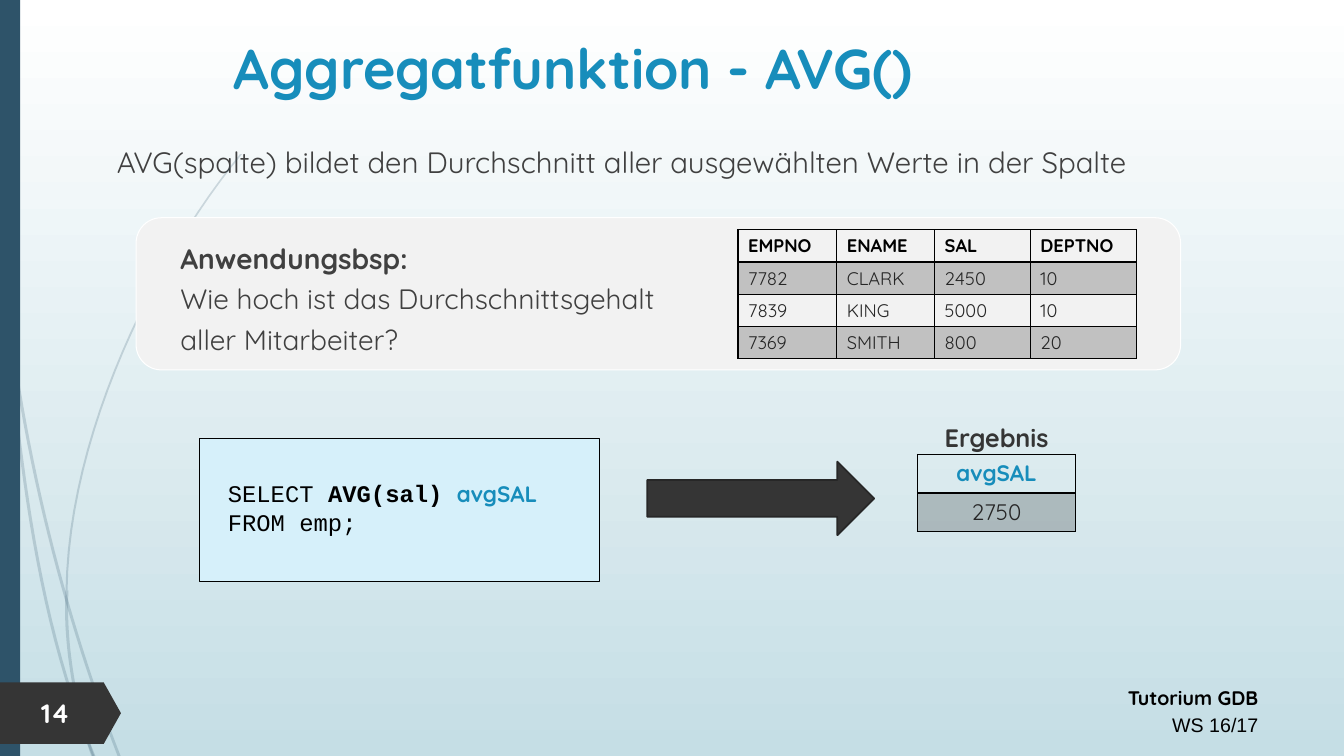
import pptx
import pptx.util
import pptx.dml.color
import pptx.enum.shapes
import pptx.enum.text
import pptx.oxml
import pptx.oxml.ns

PX = 9144
C = {"white": "FFFFFF", "mist": "C5DEE5", "navy": "2E5369", "dark": "353535",
     "edge": "272727", "black": "000000", "ink": "262626", "grey": "404040",
     "blue": "178DBB", "panel": "F2F2F2", "code": "D6F0FA"}
SHAPE = pptx.enum.shapes.MSO_SHAPE
ALIGN = pptx.enum.text.PP_ALIGN
ANCHOR = pptx.enum.text.MSO_ANCHOR
qn = pptx.oxml.ns.qn
WISPS = [(3, (0, 282), (18, 437), (29, 598), (92, 751)),
         (3, (11, 345), (33, 500), (73, 638), (117, 751)),
         (2, (238, 153), (154, 255), (67, 429), (65, 586)),
         (3, (65, 586), (62, 640), (74, 705), (91, 751))]


def px(*lengths):
    """Turn px lengths into EMU."""
    return [round(n * PX) for n in lengths]


def rgb(name):
    """Look up a named colour."""
    return pptx.dml.color.RGBColor.from_string(C[name])


def paint(fill, color, props, alpha=100):
    """Fill with a colour, see-through when alpha is below 100."""
    fill.solid()
    fill.fore_color.rgb = rgb(color)
    if alpha < 100:
        node = props.find(qn("a:solidFill")).find(qn("a:srgbClr"))
        node.append(pptx.oxml.parse_xml(
            f'<a:alpha {pptx.oxml.ns.nsdecls("a")} val="{alpha * 1000}"/>'))


def write(p, text, size=16, color="black", font="Quicksand", bold=False, align=None, ls=None):
    """Add a formatted run to a paragraph."""
    r = p.add_run()
    r.text = text
    r.font.size, r.font.name, r.font.bold = pptx.util.Pt(size), font, bold
    r.font.color.rgb = rgb(color)
    if align is not None:
        p.alignment = align
    if ls:
        p.line_spacing = ls


def textbox(s, *box):
    """Add a wrapping text box and return its text frame."""
    tf = s.shapes.add_textbox(*px(*box)).text_frame
    tf.word_wrap = True
    return tf


def shape(s, kind, box, color, line=None, width=0.75):
    """Add a flat preset shape."""
    sp = s.shapes.add_shape(kind, *px(*box))
    sp.shadow.inherit = False
    paint(sp.fill, color, sp._element.spPr)
    if line:
        sp.line.color.rgb, sp.line.width = rgb(line), pptx.util.Pt(width)
    else:
        sp.line.fill.background()
    return sp


def wisp(s, x, y, width, knots, steps=24):
    """Draw a see-through ribbon along one cubic curve."""
    edge = []
    for t in (n / steps for n in range(steps + 1)):
        weights = ((1 - t) ** 3, 3 * t * (1 - t) ** 2, 3 * t * t * (1 - t), t ** 3)
        edge.append([sum(w * k[axis] for w, k in zip(weights, knots)) for axis in (0, 1)])
    points = [px(x + a, y + b) for a, b in edge]
    points += [px(x + a + width, y + b) for a, b in reversed(edge)]
    fb = s.shapes.build_freeform(*points[0])
    fb.add_line_segments(points[1:], close=True)
    sp = fb.convert_to_shape()
    sp.shadow.inherit = False
    sp.line.fill.background()
    paint(sp.fill, "navy", sp._element.spPr, 20)


def table(s, x, y, cols, row_h, rows, size, head="black", align=None):
    """Add a ruled table with a bold header and shaded odd rows."""
    tbl = s.shapes.add_table(len(rows), len(cols), *px(x, y, sum(cols), row_h * len(rows))).table
    tbl.first_row = tbl.horz_banding = False
    for col, w in zip(tbl.columns, cols):
        col.width = px(w)[0]
    for i, row in enumerate(rows):
        tbl.rows[i].height = px(row_h)[0]
        for j, text in enumerate(row):
            cell = tbl.cell(i, j)
            write(cell.text_frame.paragraphs[0], text, size=size, bold=i == 0, align=align,
                  color="ink" if i else head)
            props = cell._tc.get_or_add_tcPr()
            if i % 2:
                paint(cell.fill, "black", props, 20)
            else:
                cell.fill.background()
            for k, side in enumerate("LRTB"):
                thick = 2 if (i, side) in ((0, "B"), (1, "T")) else 1
                props.insert(k, pptx.oxml.parse_xml(
                    f'<a:ln{side} {pptx.oxml.ns.nsdecls("a")} w="{thick * 12700}"><a:solidFill>'
                    f'<a:srgbClr val="{C["black"]}"/></a:solidFill></a:ln{side}>'))


def backdrop(s, x, y, w, h):
    """Draw the gradient, curved wisps, side bar, page tag and footer."""
    fill = s.background.fill
    fill.gradient()
    fill.gradient_angle = 270
    for stop, color in zip(fill.gradient_stops, ("white", "mist")):
        stop.color.rgb = rgb(color)
    for width, *knots in WISPS:
        wisp(s, x, y, width, knots)
    shape(s, SHAPE.RECTANGLE, (x, y, 20, h), "navy")
    tag = shape(s, SHAPE.PENTAGON, (x, y + h - 73, 120, 61), "dark")
    tag.adjustments[0] = 0.28
    write(textbox(s, x + 31, y + h - 64, 70, 42).paragraphs[0], "14", size=19, color="white",
          bold=True)
    tf = textbox(s, x + w - 595, y + h - 78, 520, 64)
    write(tf.paragraphs[0], "Tutorium GDB", size=14, bold=True, align=ALIGN.RIGHT, ls=1.14)
    write(tf.add_paragraph(), "WS 16/17", size=14, font="Arial", align=ALIGN.RIGHT, ls=1.14)


def heading(s, x, y, w, h):
    """Fill the title and body placeholders."""
    title, body = s.placeholders
    title.left, title.top, title.width, title.height = px(x + 14, y, 897, 81)
    title.text_frame.vertical_anchor = ANCHOR.MIDDLE
    write(title.text_frame.paragraphs[0], "Aggregatfunktion - AVG()", size=40, color="blue",
          bold=True, align=ALIGN.CENTER)
    body.left, body.top, body.width, body.height = px(x, y + h - 73, w, 73)
    p = body.text_frame.paragraphs[0]
    props = p._p.get_or_add_pPr()
    props.set("marL", "0")
    props.set("indent", "0")
    props.append(pptx.oxml.parse_xml(f'<a:buNone {pptx.oxml.ns.nsdecls("a")}/>'))
    p.space_before = pptx.util.Pt(0)
    write(p, "AVG(spalte) bildet den Durchschnitt aller ausgewählten Werte in der Spalte",
          size=21, color="grey", ls=1.2)


def example(s, x, y, w, h):
    """Draw the panel with the question and the employee table."""
    shape(s, SHAPE.ROUNDED_RECTANGLE, (x, y, w, h), "panel", "white")
    table(s, x + 597, y + 12, (98, 97, 95, 105), 32,
          [("EMPNO", "ENAME", "SAL", "DEPTNO"), ("7782", "CLARK", "2450", "10"),
           ("7839", "KING", "5000", "10"), ("7369", "SMITH", "800", "20")], 13)
    p = textbox(s, x + 34, y + 12, 536, 148).paragraphs[0]
    write(p, "Anwendungsbsp:", size=20, color="grey", bold=True, ls=1.2)
    p.add_line_break()
    write(p, "Wie hoch ist das Durchschnittsgehalt aller Mitarbeiter?", size=20, color="grey")


def query(s, x, y, w, h):
    """Draw the statement, the arrow and the result."""
    tf = shape(s, SHAPE.RECTANGLE, (x, y + 21, 397, h - 21), "code", "black").text_frame
    tf.word_wrap = True
    tf.vertical_anchor = ANCHOR.MIDDLE
    tf.margin_left, tf.margin_top, tf.margin_right, tf.margin_bottom = px(28, 0, 10, 5)
    p = tf.paragraphs[0]
    write(p, "SELECT ", size=17, font="Courier New", align=ALIGN.LEFT)
    write(p, "AVG(sal) ", size=17, font="Courier New", bold=True)
    write(p, "avgSAL", color="blue", bold=True)
    write(tf.add_paragraph(), "FROM emp;", size=17, font="Courier New", align=ALIGN.LEFT)
    shape(s, SHAPE.RIGHT_ARROW, (x + 444, y + 44, 225, 73), "dark", "edge", 1.25)
    table(s, x + w - 157, y + 37, (157,), 38, [("avgSAL",), ("2750",)], 16, "blue", ALIGN.CENTER)
    write(textbox(s, x + w - 147, y, 137, 40).paragraphs[0], "Ergebnis", size=18, color="dark",
          bold=True, align=ALIGN.CENTER)


def main():
    """Build and save the slide."""
    prs = pptx.Presentation()
    prs.slide_width, prs.slide_height = px(1333, 750)
    s = prs.slides.add_slide(prs.slide_layouts[1])
    backdrop(s, 0, 0, 1333, 750)
    heading(s, 106, 26, 1138, 178)
    example(s, 135, 216, 1036, 151)
    query(s, 198, 414, 869, 163)
    prs.save("out.pptx")


if __name__ == "__main__":
    main()
